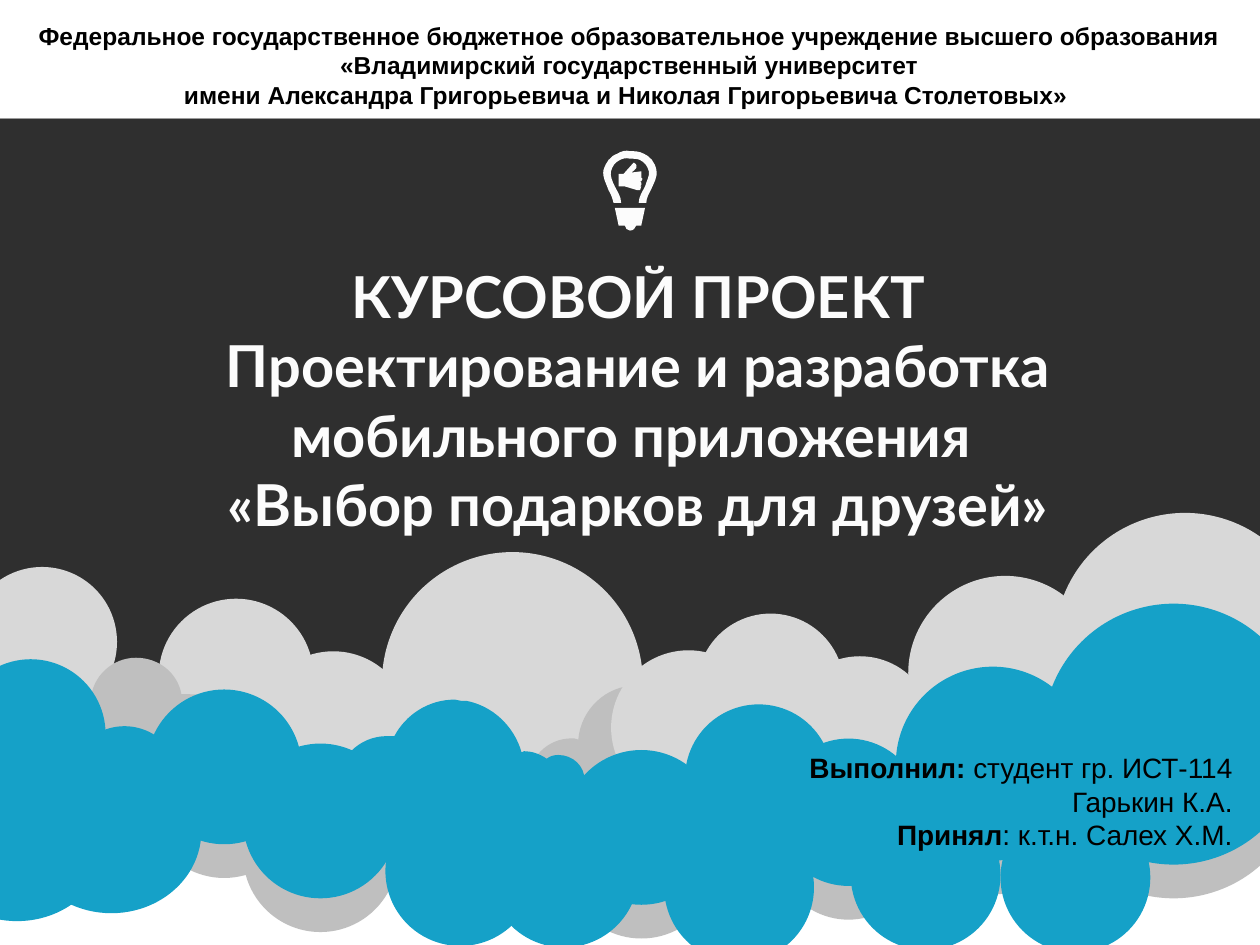
from dataclasses import dataclass

from lxml import etree
from pptx import Presentation
from pptx.dml.color import RGBColor
from pptx.enum import shapes, text
from pptx.oxml import ns
from pptx.util import Cm, Pt

BLACK = RGBColor(0x00, 0x00, 0x00)
CHARCOAL = RGBColor(0x1F, 0x1F, 0x1F)
DARK_GREY = RGBColor(0x3F, 0x3F, 0x3F)
GREY = RGBColor(0xBF, 0xBF, 0xBF)
LIGHT_GREY = RGBColor(0xD8, 0xD8, 0xD8)
BLUE = RGBColor(0x15, 0xA1, 0xC8)
WHITE = RGBColor(0xFC, 0xFC, 0xFC)

GRID = Cm(2.54) / 100
BLUE_RISE = -0.68


@dataclass(frozen=True)
class Puff:
    left: float
    top: float
    width: float
    height: float | None = None


@dataclass(frozen=True)
class Run:
    text: str
    bold: bool = True


CLOUD_ROW = [
    Puff(-0.89, 13.97, 3.02), Puff(1.38, 15.32, 2.26), Puff(2.96, 14.58, 3.12),
    Puff(4.9, 15.67, 3.12), Puff(11.37, 15.8, 3.12), Puff(13.81, 14.88, 2.97),
    Puff(15.62, 15.57, 2.97), Puff(18.06, 14.12, 3.91), Puff(21.03, 12.85, 5.26),
]
BACK_ROW = [
    Puff(-0.66, 11.43, 3.02), Puff(1.47, 13.39, 2.26), Puff(3.2, 12.07, 3.12),
    Puff(14.05, 12.37, 2.97), Puff(18.31, 11.61, 3.91), Puff(21.26, 10.34, 5.26),
    Puff(7.7, 11.13, 5.26),
]
BACK_FRONT = [Puff(5.16, 13.13, 3.12), Puff(12.32, 13.11, 3.12), Puff(15.85, 13.23, 2.97)]
FRONT_ROW = [
    Puff(0.43, 15.11, 3.63, 3.3), Puff(7.77, 16.05, 3.02), Puff(9.86, 16.08, 3.02),
    Puff(13.39, 16.38, 3.02), Puff(17.15, 16.13, 3.02), Puff(20.17, 16.18, 3.02),
    Puff(-1.47, 15.27, 3.63, 3.3),
]

ROW_CLOUD = [
    "M 361 582 L 366 583 L 366 690 L 361 690 C 350 690 340 687 332 682 "
    "C 325 687 316 690 307 690 C 285 690 267 673 267 651 C 267 629 285 611 307 611 "
    "C 309 611 311 611 313 611 C 322 594 340 582 361 582",
    "M 366 583 L 370 583 C 391 587 408 603 414 624 L 416 623 "
    "C 422 623 428 625 434 629 C 436 627 440 626 443 626 C 455 626 464 635 464 646 "
    "C 464 656 457 664 448 666 C 444 680 431 690 416 690 C 406 690 398 687 392 681 "
    "C 386 685 378 688 369 690 L 366 690 L 366 583",
]
MIDDLE_CLOUD = [
    "M 505 544 C 514 544 523 547 530 552 L 532 553 L 532 658 L 529 659 "
    "C 523 659 518 657 514 654 C 509 655 503 656 497 656 C 487 656 478 654 470 652 "
    "C 465 655 460 656 454 656 C 434 656 419 640 419 621 C 419 602 434 586 454 586 "
    "C 455 586 457 586 459 587 C 461 563 481 544 505 544",
    "M 532 553 L 537 558 C 545 566 550 577 550 590 C 550 598 548 605 545 611 "
    "C 551 616 555 624 555 632 C 555 645 546 656 534 658 L 532 658 L 532 553",
]
LEFT_CLOUD = [
    "M 108 522 C 126 522 141 534 144 551 L 150 551 "
    "C 155 551 159 551 163 553 L 166 554 L 166 612 L 163 613 "
    "C 159 615 155 615 150 615 C 146 615 142 615 138 613 C 134 627 121 637 106 637 "
    "C 89 637 75 625 72 610 C 67 613 61 615 54 615 C 36 615 22 601 22 583 "
    "C 22 565 36 551 54 551 C 61 551 67 553 72 556 C 73 537 89 522 108 522",
    "M 166 554 L 168 556 C 177 562 183 572 183 583 C 183 594 177 604 168 610 "
    "L 166 612 L 166 554",
]
BULB = (
    "M 488 165 L 512 165 L 509 179 L 505 179 C 504 181 503 183 500 183 "
    "C 498 183 496 181 496 179 L 491 179 L 488 165 "
    "M 509 136 L 509 141 L 510 142 L 509 144 L 508 144 L 509 145 L 509 147 "
    "L 508 148 L 509 148 L 508 151 L 506 151 L 496 148 L 491 148 L 491 138 L 495 138 "
    "L 503 129 C 508 132 504 135 501 137 L 509 136 "
    "M 487 161 L 493 161 C 493 156 490 152 488 148 C 486 144 484 139 485 136 "
    "C 486 132 488 129 492 127 C 494 126 497 125 500 126 C 503 126 506 126 508 127 "
    "C 512 129 514 132 515 136 C 516 139 513 144 512 148 C 510 152 507 156 507 161 "
    "L 513 161 C 513 157 515 154 517 150 C 519 145 522 141 521 135 "
    "C 520 129 516 124 511 122 C 507 120 504 120 500 120 C 497 119 493 120 490 122 "
    "C 484 124 481 129 479 135 C 478 141 481 145 483 151 C 485 154 486 157 487 161"
)


def paint(shape, color: RGBColor, alpha: int | None = None) -> None:
    shape.shadow.inherit = False
    shape.fill.solid()
    shape.fill.fore_color.rgb = color
    shape.line.fill.background()
    if alpha is not None:
        color_element = shape.element.spPr.find(f".//{ns.qn('a:srgbClr')}")
        etree.SubElement(color_element, ns.qn("a:alpha"), val=str(alpha * 1000))


def draw_puffs(target, puffs: list[Puff], color: RGBColor, shift: float = 0) -> None:
    for puff in puffs:
        shape = target.add_shape(
            shapes.MSO_SHAPE.OVAL, Cm(puff.left), Cm(puff.top + shift),
            Cm(puff.width), Cm(puff.height or puff.width))
        paint(shape, color)


def read_contour(contour: str, shift: float) -> list[tuple[float, float]]:
    numbers = [float(token) * GRID for token in contour.split() if token.isdigit()]
    return [(x, y + Cm(shift)) for x, y in zip(numbers[::2], numbers[1::2])]


def bend_curves(shape, outline: str) -> None:
    contour_path = shape.element.find(f".//{ns.qn('a:path')}")
    segments = iter(contour_path.findall(ns.qn("a:lnTo")))
    for command in outline.split():
        if command == "L":
            next(segments)
        elif command == "C":
            curve = next(segments)
            curve.tag = ns.qn("a:cubicBezTo")
            for _ in range(2):
                segment = next(segments)
                curve.append(segment[0])
                contour_path.remove(segment)


def draw_outline(target, outline: str, color: RGBColor, shift: float = 0) -> None:
    first, *others = [read_contour(contour, shift) for contour in outline.split("M")[1:]]
    builder = target.build_freeform(*first[0])
    builder.add_line_segments(first[1:], close=True)
    for contour in others:
        builder.move_to(*contour[0])
        builder.add_line_segments(contour[1:], close=True)
    shape = builder.convert_to_shape()
    bend_curves(shape, outline)
    paint(shape, color)


def draw_cloud(target, halves: list[str], color: RGBColor, shift: float = 0) -> None:
    for half in halves:
        draw_outline(target, half, color, shift)


def write(frame, lines: list[list[Run]], *, size: float, font: str,
          color: RGBColor, align: text.PP_ALIGN) -> None:
    frame.word_wrap = True
    frame.auto_size = text.MSO_AUTO_SIZE.NONE
    frame.vertical_anchor = text.MSO_ANCHOR.TOP
    for index, line in enumerate(lines):
        paragraph = frame.add_paragraph() if index else frame.paragraphs[0]
        paragraph.alignment = align
        for part in line:
            run = paragraph.add_run()
            run.text = part.text
            run.font.size = Pt(size)
            run.font.name = font
            run.font.bold = part.bold
            run.font.color.rgb = color


def main() -> None:
    presentation = Presentation()
    presentation.slide_width, presentation.slide_height = Cm(25.4), Cm(19.05)
    slide = presentation.slides.add_slide(presentation.slide_layouts[5])
    title = slide.shapes.title

    for color, alpha in ((CHARCOAL, None), (DARK_GREY, 50)):
        band = slide.shapes.add_shape(
            shapes.MSO_SHAPE.RECTANGLE, 0, Cm(2.39), Cm(25.4), Cm(14.27))
        paint(band, color, alpha)

    back = slide.shapes.add_group_shape().shapes
    draw_puffs(back, CLOUD_ROW, GREY)
    draw_cloud(back, ROW_CLOUD, GREY)
    draw_puffs(back, BACK_ROW, LIGHT_GREY)
    draw_cloud(back, MIDDLE_CLOUD, GREY)
    draw_puffs(back, BACK_FRONT, LIGHT_GREY)

    title.left, title.top, title.width, title.height = Cm(0.94), Cm(5.13), Cm(23.85), Cm(1.68)
    title.element.getparent().append(title.element)
    write(title.text_frame, [
        [Run("КУРСОВОЙ ПРОЕКТ")],
        [Run("Проектирование и разработка мобильного приложения ")],
        [Run("«Выбор подарков для друзей»")],
    ], size=33, font="Lato", color=WHITE, align=text.PP_ALIGN.CENTER)
    draw_outline(slide.shapes, BULB, WHITE)

    front = slide.shapes.add_group_shape().shapes
    draw_cloud(front, LEFT_CLOUD, GREY)
    draw_puffs(front, CLOUD_ROW, BLUE, BLUE_RISE)
    draw_cloud(front, ROW_CLOUD, BLUE, BLUE_RISE)
    draw_puffs(front, FRONT_ROW, BLUE)

    authors = slide.shapes.add_textbox(Cm(15.85), Cm(15.01), Cm(9.25), Cm(2.31))
    write(authors.text_frame, [
        [Run("Выполнил:"), Run(" студент гр. ИСТ-114", False)],
        [Run("Гарькин К.А.", False)],
        [Run("Принял"), Run(": к.т.н. Салех Х.М.", False)],
    ], size=16, font="Arial", color=BLACK, align=text.PP_ALIGN.RIGHT)

    university = slide.shapes.add_textbox(Cm(-0.03), Cm(0.3), Cm(25.43), Cm(2.06))
    write(university.text_frame, [
        [Run("Федеральное государственное бюджетное образовательное учреждение высшего образования")],
        [Run("«Владимирский государственный университет")],
        [Run("имени Александра Григорьевича и Николая Григорьевича Столетовых» ")],
    ], size=14, font="Arial", color=BLACK, align=text.PP_ALIGN.CENTER)

    presentation.save("out.pptx")


if __name__ == "__main__":
    main()
